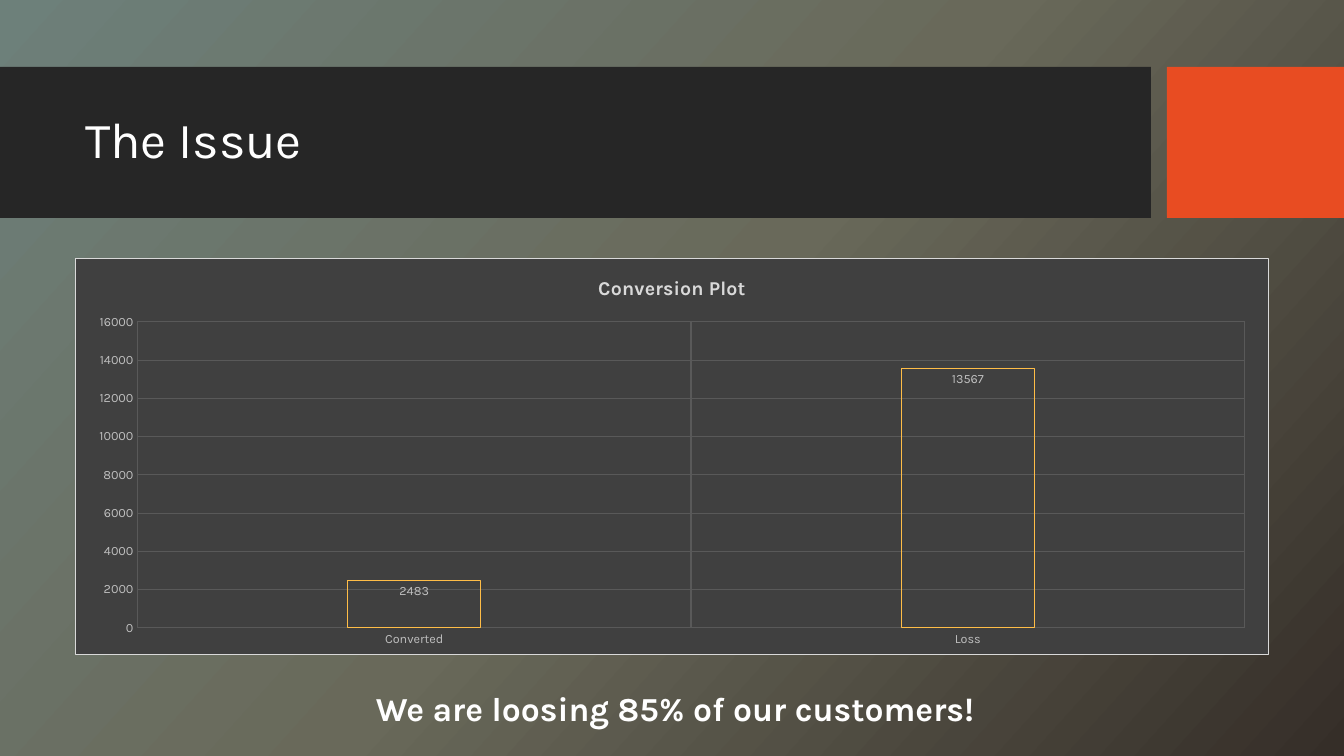
import copy

import lxml.etree
import pptx
import pptx.chart.data
import pptx.dml.color
import pptx.enum.chart
import pptx.enum.shapes
import pptx.enum.text
import pptx.oxml
import pptx.oxml.ns
import pptx.util

EMU_PER_PX = 914400 / 100.8
FONT = "Karla"
COLORS = {
    "teal": "6D807A",
    "olive": "69695A",
    "brown": "352E28",
    "band": "262626",
    "accent": "E84C22",
    "panel": "404040",
    "grid": "595959",
    "border": "D9D9D9",
    "label": "BFBFBF",
    "bar": "FFBD47",
    "white": "FFFFFF",
}


def px(length):
    return pptx.util.Emu(round(length * EMU_PER_PX))


def rgb(name):
    return pptx.dml.color.RGBColor.from_string(COLORS[name])


def style_font(font, size, color="white", bold=False):
    font.name = FONT
    font.size = pptx.util.Pt(size)
    font.bold = bold
    font.color.rgb = rgb(color)


def write_text(frame, text, size, color="white", bold=False, align="LEFT",
               anchor="TOP", line_spacing=None):
    frame.word_wrap = True
    frame.vertical_anchor = getattr(pptx.enum.text.MSO_ANCHOR, anchor)
    paragraph = frame.paragraphs[0]
    paragraph.alignment = getattr(pptx.enum.text.PP_ALIGN, align)
    paragraph.line_spacing = line_spacing
    run = paragraph.add_run()
    run.text = text
    style_font(run.font, size, color, bold)


def paint_background(slide, stops, angle):
    fill = slide.background.fill
    fill.gradient()
    fill.gradient_angle = 360 - angle
    stop_list = slide.element.find(".//" + pptx.oxml.ns.qn("a:gsLst"))
    stop_list.insert(1, copy.deepcopy(stop_list[0]))
    for stop, (position, color) in zip(fill.gradient_stops, stops):
        stop.position = position
        stop.color.rgb = rgb(color)


def add_block(slide, left, top, width, height, color):
    block = slide.shapes.add_shape(
        pptx.enum.shapes.MSO_SHAPE.RECTANGLE,
        px(left), px(top), px(width), px(height))
    block.shadow.inherit = False
    block.fill.solid()
    block.fill.fore_color.rgb = rgb(color)
    block.line.fill.background()


def add_title(slide, text, left, top, width, height):
    title = slide.shapes.title
    title.left, title.top = px(left), px(top)
    title.width, title.height = px(width), px(height)
    write_text(title.text_frame, text, 36, anchor="MIDDLE", line_spacing=0.9)
    slide.shapes.element.append(title.element)


def style_axis(axis):
    axis.major_tick_mark = pptx.enum.chart.XL_TICK_MARK.NONE
    axis.minor_tick_mark = pptx.enum.chart.XL_TICK_MARK.NONE
    axis.format.line.fill.background()
    axis.has_major_gridlines = True
    gridline = axis.major_gridlines.format.line
    gridline.color.rgb = rgb("grid")
    gridline.width = pptx.util.Pt(0.75)
    style_font(axis.tick_labels.font, 9, "label")


def frame_chart(chart, fill, border):
    chart_space = chart.element
    panel = pptx.oxml.parse_xml(
        f'<c:spPr {pptx.oxml.ns.nsdecls("c", "a")}>'
        f'<a:solidFill><a:srgbClr val="{COLORS[fill]}"/></a:solidFill>'
        f'<a:ln w="9525"><a:solidFill><a:srgbClr val="{COLORS[border]}"/>'
        '</a:solidFill></a:ln></c:spPr>')
    chart_space.find(pptx.oxml.ns.qn("c:chart")).addnext(panel)


def add_conversion_chart(slide, left, top, width, height):
    conversions = pptx.chart.data.CategoryChartData()
    conversions.categories = ["Converted", "Loss"]
    conversions.add_series("Series 1", [2483, 13567])
    chart = slide.shapes.add_chart(
        pptx.enum.chart.XL_CHART_TYPE.COLUMN_CLUSTERED,
        px(left), px(top), px(width), px(height), conversions).chart
    style_font(chart.font, 10)
    chart.has_legend = False
    chart.has_title = True
    write_text(chart.chart_title.text_frame, "Conversion Plot", 14, "border",
               bold=True, align="CENTER")
    chart.chart_title.include_in_layout = False
    frame_chart(chart, "panel", "border")

    style_axis(chart.category_axis)
    style_axis(chart.value_axis)
    chart.value_axis.minimum_scale = 0
    chart.value_axis.maximum_scale = 16000
    chart.value_axis.major_unit = 2000

    plot = chart.plots[0]
    plot.vary_by_categories = False
    plot.gap_width = 315
    plot.overlap = -40
    bars = plot.series[0]
    bars.format.fill.background()
    bars.format.line.color.rgb = rgb("bar")
    bars.format.line.width = pptx.util.Pt(0.75)
    labels = bars.data_labels
    labels.show_value = True
    labels.position = pptx.enum.chart.XL_LABEL_POSITION.INSIDE_END
    style_font(labels.font, 9, "label")


def add_conclusion(slide, text, left, top, width, height):
    conclusion = slide.shapes.add_textbox(
        px(left), px(top), px(width), px(height))
    write_text(conclusion.text_frame, text, 24, bold=True, align="CENTER")


def main():
    deck = pptx.Presentation()
    deck.slide_width, deck.slide_height = px(1344), px(756)
    slide = deck.slides.add_slide(deck.slide_layouts.get_by_name("Title Only"))
    paint_background(
        slide, [(0, "teal"), (0.5, "olive"), (1, "brown")], angle=42)
    add_block(slide, 0, 67, 1151, 151, "band")
    add_block(slide, 1167, 67, 177, 151, "accent")
    add_title(slide, "The Issue", 75, 83, 1059, 119)
    add_conversion_chart(slide, 75, 258, 1194, 397)
    add_conclusion(
        slide, "We are loosing 85% of our customers!", 162, 683, 1026, 50)
    deck.save("out.pptx")


if __name__ == "__main__":
    main()
